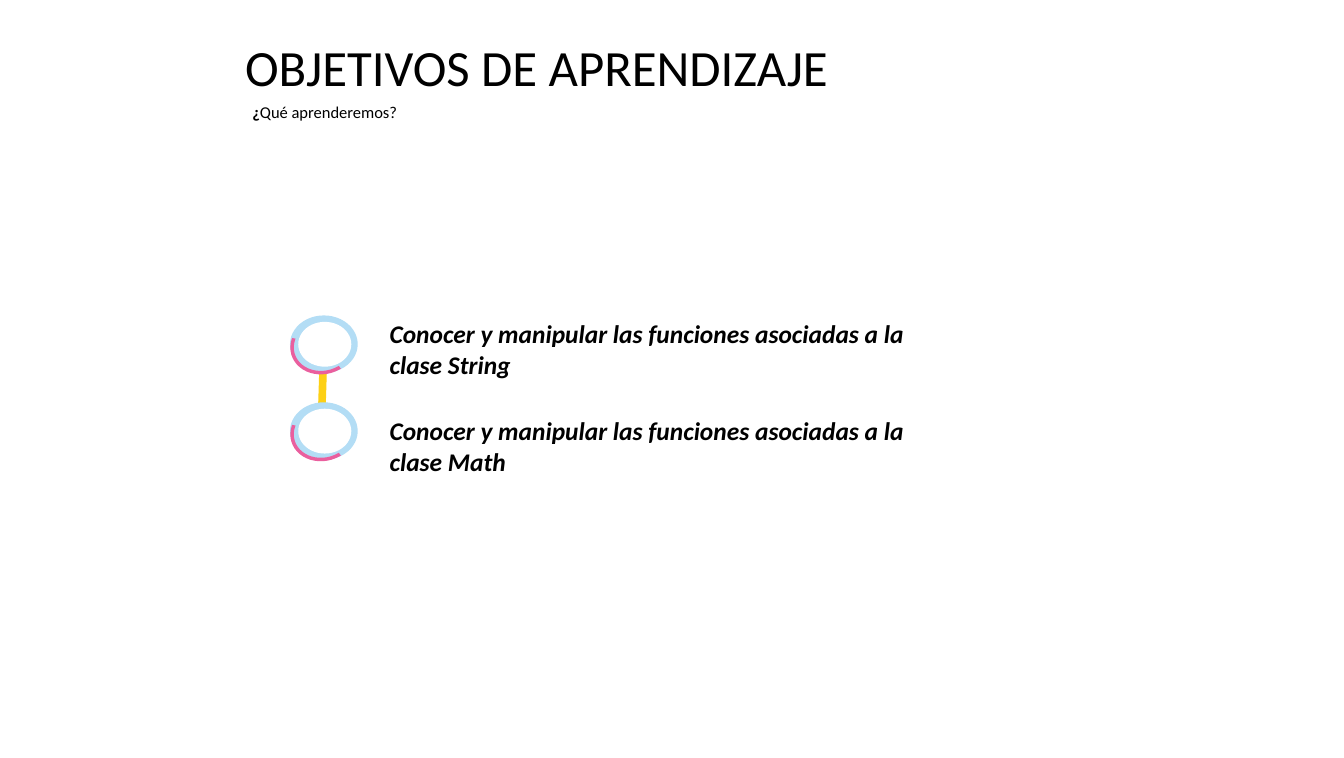
from pptx import Presentation
from pptx.dml.color import RGBColor
from pptx.enum.shapes import MSO_CONNECTOR, MSO_SHAPE
from pptx.enum.text import MSO_ANCHOR, MSO_AUTO_SIZE
from pptx.util import Inches, Pt
from lxml.etree import SubElement
from pptx.oxml.ns import qn

SLIDE_WIDTH, SLIDE_HEIGHT = 14.69, 8.29
FONT = "Calibri"
COLORS = {
    "text": "000000",
    "ring": "B3DDF5",
    "center": "FFFFFF",
    "arc": "EA5F9E",
    "link": "FDD015",
}
GOALS = [
    "Conocer y manipular las funciones asociadas a la clase String",
    "Conocer y manipular las funciones asociadas a la clase Math",
]
BADGE_STEP, GOAL_STEP = 0.95, 1.06


def color(name):
    return RGBColor.from_string(COLORS[name])


def add_text(slide, box, runs, size):
    """Place one paragraph; runs are pairs of text and font format."""
    label = slide.shapes.add_textbox(*map(Inches, box))
    frame = label.text_frame
    frame_format = {
        "word_wrap": True,
        "auto_size": MSO_AUTO_SIZE.SHAPE_TO_FIT_TEXT,
        "vertical_anchor": MSO_ANCHOR.TOP,
        **{f"margin_{side}": Inches(0.1) for side in ("left", "top", "right", "bottom")},
    }
    for key, value in frame_format.items():
        setattr(frame, key, value)
    for words, style in runs:
        run = frame.paragraphs[0].add_run()
        run.text = words
        for key, value in {"name": FONT, "size": Pt(size), **style}.items():
            setattr(run.font, key, value)
        run.font.color.rgb = color("text")


def add_header(slide, box):
    left, top, width, height = box
    # Title
    add_text(slide, (left, top, width, 0.88), [("OBJETIVOS DE APRENDIZAJE", {})], 40)
    # Question below it
    add_text(slide, (left + 0.08, top + 0.72, 2.77, height - 0.72),
             [("¿", {"bold": True}), ("Qué aprenderemos?", {"bold": False})], 13)


def add_badge(slide, box):
    """Ring with a white center and a pink arc, grouped."""
    left, top, width, height = box
    badge = slide.shapes.add_group_shape()
    layers = [
        (MSO_SHAPE.OVAL, "ring", (0, 0, 0.74, 0.63)),
        (MSO_SHAPE.OVAL, "center", (0.09, 0.07, 0.58, 0.49)),
        (MSO_SHAPE.BLOCK_ARC, "arc", (0.05, -0.04, 0.63, 0.73)),
    ]
    for preset, fill, (dx, dy, part_width, part_height) in layers:
        scale_x, scale_y = width / 0.74, height / 0.63
        part = badge.shapes.add_shape(
            preset, Inches(left + dx * scale_x), Inches(top + dy * scale_y),
            Inches(part_width * scale_x), Inches(part_height * scale_y))
        part.shadow.inherit = False
        part.fill.solid()
        part.fill.fore_color.rgb = color(fill)
        part.line.fill.background()
        if preset == MSO_SHAPE.BLOCK_ARC:
            part.rotation = 253.6
            for index, value in enumerate((95.84, 179.71, 0.06)):
                part.adjustments[index] = value


def add_goals(slide, box):
    left, top, width, height = box
    # Goal texts
    for row, goal in enumerate(GOALS):
        add_text(slide, (left + 0.99, top + row * GOAL_STEP, width - 0.99, height - GOAL_STEP),
                 [(goal, {"bold": True, "italic": True})], 20)
    # Link behind the badges
    link = slide.shapes.add_connector(
        MSO_CONNECTOR.STRAIGHT, Inches(left + 0.37), Inches(top + 0.39),
        Inches(left + 0.33), Inches(top + 1.66))
    link.line.color.rgb = color("link")
    link.line.width = Pt(6)
    SubElement(link.line._get_or_add_ln().getparent(), qn("a:effectLst"))
    # Badges
    for row in range(len(GOALS)):
        add_badge(slide, (left, top + 0.07 + row * BADGE_STEP, 0.74, 0.63))


def main():
    deck = Presentation()
    deck.slide_width, deck.slide_height = Inches(SLIDE_WIDTH), Inches(SLIDE_HEIGHT)
    slide = deck.slides.add_slide(deck.slide_layouts[6])
    add_header(slide, (2.58, 0.29, 8.57, 1.14))
    add_goals(slide, (3.17, 3.38, 7.2, 1.94))
    deck.save("out.pptx")


if __name__ == "__main__":
    main()
